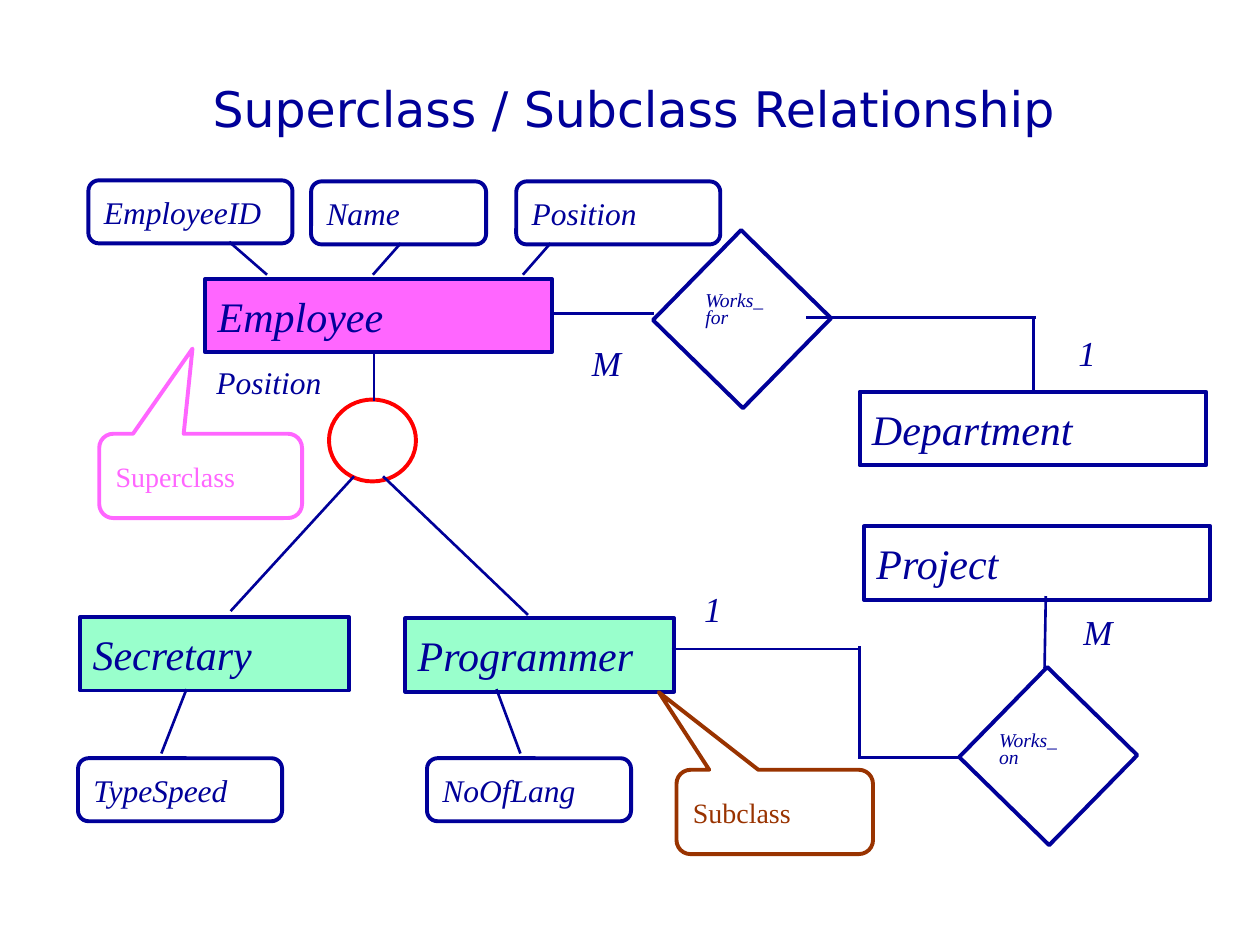
"""Build an entity-relationship slide on superclass and subclass relationships."""
from collections import namedtuple
from lxml import etree
from pptx import Presentation
from pptx.dml import color
from pptx.enum import shapes, text
from pptx.oxml import ns
from pptx.util import Pt

Theme = namedtuple("Theme", "navy pink mint red brown white serif sans title entity mark attribute callout relation")
theme = Theme("000099", "FF66FF", "99FFCC", "FF0000", "993300", "FFFFFF",
              "Times New Roman", "DejaVu Sans", 28, 24, 20, 18, 16, 11.2)
kinds = shapes.MSO_SHAPE

deck = Presentation()
deck.slide_width, deck.slide_height = Pt(720), Pt(540)
page = deck.slides.add_slide(deck.slide_layouts[6])


def write(box, words, size, ink=theme.navy, font=theme.serif, italic=True,
          anchor=text.MSO_ANCHOR.MIDDLE, align=text.PP_ALIGN.LEFT, spacing=None):
    frame = box.text_frame
    frame.text = words
    frame.word_wrap = True
    frame.vertical_anchor = anchor
    frame.margin_left = frame.margin_right = Pt(7.2)
    frame.margin_top = frame.margin_bottom = Pt(3.6)
    for para in frame.paragraphs:
        para.alignment = align
        para.line_spacing = spacing
        for span in para.runs:
            span.font.size, span.font.name, span.font.italic = Pt(size), font, italic
            span.font.color.rgb = color.RGBColor.from_string(ink)


def draw(kind, left, top, width, height, fill=theme.white, line=theme.navy):
    shape = page.shapes.add_shape(kind, Pt(left), Pt(top), Pt(width), Pt(height))
    shape.shadow.inherit = False
    shape.fill.solid()
    shape.fill.fore_color.rgb = color.RGBColor.from_string(fill)
    shape.line.color.rgb = color.RGBColor.from_string(line)
    shape.line.width = Pt(2.25)
    return shape


title = page.shapes.add_textbox(Pt(56), Pt(16.5), Pt(612), Pt(90))
write(title, "Superclass / Subclass Relationship", theme.title, font=theme.sans,
      italic=False, align=text.PP_ALIGN.CENTER)

for left, top in [(563, 396), (388, 146.3)]:
    draw(kinds.RECTANGLE, left, top, 72, 72).rotation = 224.4

draw(kinds.OVAL, 188, 228.3, 49.7, 46.8, line=theme.red)

entities = [
    ("Employee", 117.3, 159.4, 198, theme.pink),
    ("Department", 491.2, 223.9, 198, theme.white),
    ("Project", 493.7, 300.8, 198, theme.white),
    ("Secretary", 45.8, 352.6, 153.6, theme.mint),
    ("Programmer", 231.6, 353.3, 153.6, theme.mint),
]
for name, left, top, width, fill in entities:
    write(draw(kinds.RECTANGLE, left, top, width, 42, fill), name, theme.entity)

attributes = [
    ("EmployeeID", 50.5, 103.1, 116.6),
    ("Name", 177.8, 103.7, 100),
    ("Position", 295, 103.7, 116.6),
    ("TypeSpeed", 44.6, 433.3, 116.6),
    ("NoOfLang", 244, 433.3, 116.6),
]
for name, left, top, width in attributes:
    write(draw(kinds.ROUNDED_RECTANGLE, left, top, width, 36), name, theme.attribute)

links = [
    (373.7, 179.3, 315.4, 179.3), (590.4, 182.2, 590.4, 223.9), (591.8, 181.4, 460.8, 181.4),
    (597.6, 340.6, 596.9, 381.6), (131, 138.2, 152.6, 157), (229, 139, 213.1, 157),
    (314.6, 139, 298.8, 157), (213.8, 200.2, 213.8, 229), (202.3, 272.2, 131.8, 349.2),
    (218.9, 272.2, 301.7, 351.4), (383.8, 370.8, 491.8, 370.8), (491, 369.4, 491, 433.4),
    (547.9, 432.7, 490.3, 432.7), (106.6, 393.8, 92.2, 430.6), (283.7, 393.8, 297.4, 430.6),
]
for ends in links:
    link = page.shapes.add_connector(shapes.MSO_CONNECTOR.STRAIGHT, *map(Pt, ends))
    link.line.color.rgb = color.RGBColor.from_string(theme.navy)
    link.line.width = Pt(1.5)
    etree.SubElement(link._element.spPr, ns.qn("a:effectLst"))

labels = [
    ("Works_\non", 563.8, 416.2, 94.3, 27.4, theme.relation, 0.7),
    ("Works_\nfor", 396, 164.9, 94.3, 27.4, theme.relation, 0.7),
    ("M", 331.2, 191.5, 36, 31.7, theme.mark, None),
    ("M", 612, 345.6, 36, 31.7, theme.mark, None),
    ("1", 609.1, 185.8, 22.3, 31.7, theme.mark, None),
    ("1", 395.3, 331.9, 22.3, 31.7, theme.mark, None),
    ("Position", 116.6, 203.8, 87.1, 28.8, theme.attribute, None),
]
for words, left, top, width, height, size, spacing in labels:
    label = page.shapes.add_textbox(Pt(left), Pt(top), Pt(width), Pt(height))
    write(label, words, size, anchor=text.MSO_ANCHOR.TOP, spacing=spacing)

callouts = [
    ("Superclass", 56.7, 247.9, 115.9, theme.pink, (-0.04, -1.51)),
    ("Subclass", 386.6, 439.9, 112.3, theme.brown, (-0.59, -1.42)),
]
for words, left, top, width, ink, tip in callouts:
    callout = draw(kinds.ROUNDED_RECTANGULAR_CALLOUT, left, top, width, 48.2, line=ink)
    callout.adjustments[0], callout.adjustments[1] = tip
    write(callout, words, theme.callout, ink, italic=False)

deck.save("out.pptx")
